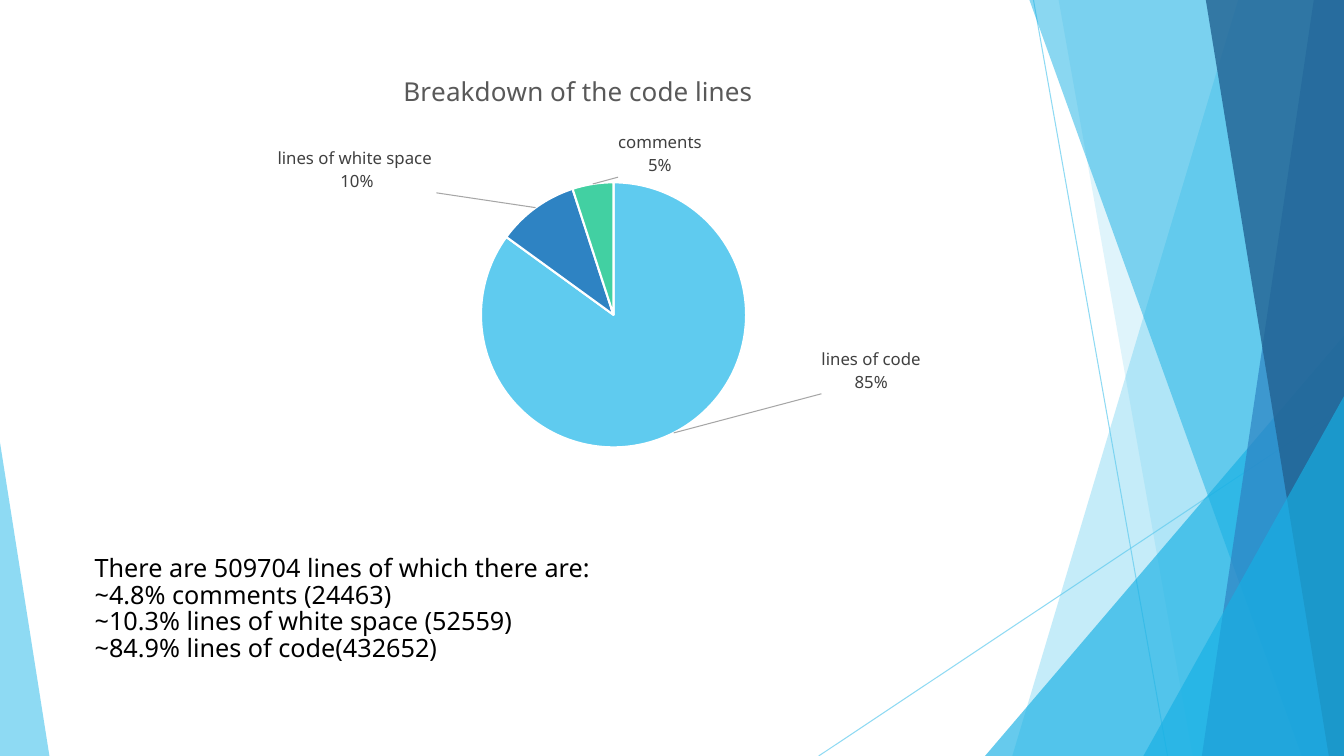
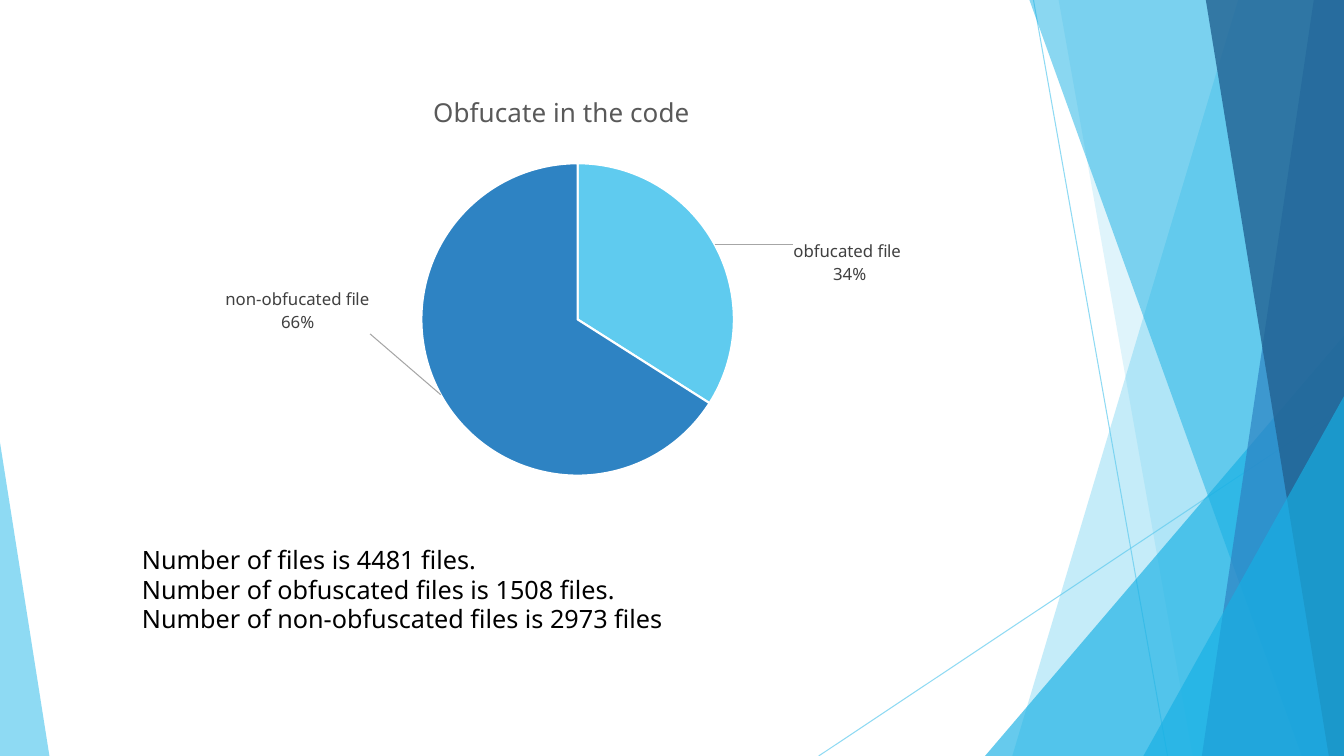
from pptx import Presentation
from pptx.chart.data import CategoryChartData
from pptx.dml.color import RGBColor
from pptx.enum import chart as ch, shapes as sh, text as tx
from pptx.oxml import parse_xml
from pptx.oxml.ns import nsdecls
from pptx.util import Inches, Pt

WIDE, HIGH = 13.33, 7.5
FONT = "Noto Sans"
SKY, BLUE, GREEN = "5FCBEF", "2E83C3", "42D0A2"
CYAN, NAVY = "17B0E4", "226292"
BLACK, WHITE, DARK, GREY = "000000", "FFFFFF", "404040", "595959"


def rgb(code):
    return RGBColor.from_string(code)


def style(font, size, color):
    font.name, font.size, font.bold = FONT, Pt(size), False
    font.color.rgb = rgb(color)


def fade(shape, share):
    """Set the opacity, in percent, of a shape's colour."""
    for tone in shape.element.xpath(".//a:srgbClr"):
        tone.append(parse_xml(
            f'<a:alpha {nsdecls("a")} val="{share * 1000}"/>'))


def paint(shape, color, share):
    shape.shadow.inherit = False
    shape.fill.solid()
    shape.fill.fore_color.rgb = rgb(color)
    shape.line.fill.background()
    fade(shape, share)


# Backdrop parts
def ray(group, start, end):
    line = group.shapes.add_connector(
        sh.MSO_CONNECTOR.STRAIGHT, *map(Inches, start + end))
    line.line.color.rgb = rgb(SKY)
    line.line.width = Pt(0.75)
    line.element.spPr.append(parse_xml(f'<a:effectLst {nsdecls("a")}/>'))
    fade(line, 70)


def band(group, top, foot, color, share):
    """Fill from a slanted left edge to the right side of the slide."""
    pen = group.shapes.build_freeform(Inches(top), 0)
    pen.add_line_segments(
        [(Inches(x), Inches(y))
         for x, y in ((WIDE, 0), (WIDE, HIGH), (foot, HIGH))])
    paint(pen.convert_to_shape(), color, share)


def wedge(group, left, top, width, tip, color, share):
    """Draw a triangle that stands on the foot of the slide."""
    shape = group.shapes.add_shape(
        sh.MSO_SHAPE.ISOSCELES_TRIANGLE,
        *map(Inches, (left, top, width, HIGH - top)))
    shape.adjustments[0] = tip
    paint(shape, color, share)


def backdrop(slide):
    """Draw the facets once and hand them to the slide's layout."""
    layout = slide.slide_layout
    for holder in list(layout.placeholders):
        layout.shapes.element.remove(holder.element)
    group = slide.shapes.add_group_shape()
    ray(group, (10.25, 0), (11.58, HIGH))
    ray(group, (WIDE, 4.03), (8.12, HIGH))
    band(group, 12.28, 10.04, SKY, 36)
    band(group, 10.5, 11.83, SKY, 20)
    wedge(group, 9.77, 3.33, WIDE - 9.77, 1, CYAN, 66)
    band(group, 10.21, 12.91, CYAN, 50)
    band(group, 13.03, 11.92, BLUE, 70)
    band(group, 11.96, 13.18, NAVY, 80)
    wedge(group, 11.34, 3.93, WIDE - 11.34, 1, CYAN, 66)
    wedge(group, 0, 4.39, 0.49, 0, SKY, 70)
    layout.shapes.element.append(group.element)


# Chart parts
def place(chart, box, disc):
    """Fix the pie's disc, given as left, top and diameter on the slide."""
    left, top, wide, high = box
    x, y, size = disc
    spot = dict(x=(x - left) / wide, y=(y - top) / high,
                w=size / wide, h=size / high)
    marks = "".join(f'<c:{k} val="{v:.4f}"/>' for k, v in spot.items())
    area = chart.element.xpath(".//c:plotArea")[0]
    for old in area.xpath("./c:layout"):
        area.remove(old)
    area.insert(0, parse_xml(
        f'<c:layout {nsdecls("c")}><c:manualLayout>'
        '<c:layoutTarget val="inner"/><c:xMode val="edge"/>'
        f'<c:yMode val="edge"/>{marks}</c:manualLayout></c:layout>'))


def label(chart, box, shifts):
    """Show category and percent, each shifted by inches, with leaders."""
    show = ('<c:dLblPos val="outEnd"/><c:showLegendKey val="0"/>'
            '<c:showVal val="0"/><c:showCatName val="1"/>'
            '<c:showSerName val="0"/><c:showPercent val="1"/>'
            '<c:showBubbleSize val="0"/><c:separator>\n</c:separator>')
    each = "".join(
        f'<c:dLbl><c:idx val="{i}"/><c:layout><c:manualLayout>'
        f'<c:x val="{x / box[2]:.4f}"/><c:y val="{y / box[3]:.4f}"/>'
        f'</c:manualLayout></c:layout>{show}</c:dLbl>'
        for i, (x, y) in enumerate(shifts))
    cats = chart.element.xpath(".//c:ser/c:cat")[0]
    cats.addprevious(parse_xml(
        f'<c:dLbls {nsdecls("c", "a")}>{each}{show}'
        '<c:showLeaderLines val="1"/><c:leaderLines><c:spPr>'
        '<a:ln w="9525"><a:solidFill><a:srgbClr val="A6A6A6"/></a:solidFill>'
        '</a:ln></c:spPr></c:leaderLines></c:dLbls>'))


def pie(slide, box, title, parts, disc):
    """Add a pie; parts hold name, value, colour and label shift."""
    names, vals, tones, shifts = zip(*parts)
    data = CategoryChartData()
    data.categories = names
    data.add_series(title, vals)
    chart = slide.shapes.add_chart(
        ch.XL_CHART_TYPE.PIE, *map(Inches, box), data).chart
    style(chart.font, 12, DARK)
    chart.has_legend = False
    chart.has_title = True
    run = chart.chart_title.text_frame.paragraphs[0].add_run()
    run.text = title
    style(run.font, 18.6, GREY)
    chart.chart_title.include_in_layout = False
    plot = chart.plots[0]
    plot.vary_by_categories = True
    for i, tone in enumerate(tones):
        look = plot.series[0].points[i].format
        look.fill.solid()
        look.fill.fore_color.rgb = rgb(tone)
        look.line.color.rgb = rgb(WHITE)
        look.line.width = Pt(1.5)
    place(chart, box, disc)
    label(chart, box, shifts)


# Notes under the chart
def notes(slide, box, lines, pitch):
    frame = slide.shapes.add_textbox(*map(Inches, box)).text_frame
    frame.word_wrap = True
    frame.vertical_anchor = tx.MSO_ANCHOR.TOP
    for i, line in enumerate(lines):
        para = frame.add_paragraph() if i else frame.paragraphs[0]
        para.line_spacing = pitch
        run = para.add_run()
        run.text = line
        style(run.font, 18, BLACK)


deck = Presentation()
deck.slide_width, deck.slide_height = Inches(WIDE), Inches(HIGH)
blank = deck.slide_layouts[6]

# Slide 1: kinds of lines
lines = deck.slides.add_slide(blank)
backdrop(lines)
pie(lines, (0.74, 0.51, 9.99, 4.5), "Breakdown of the code lines",
    [("lines of code", 85, SKY, (1.44, -0.9)),
     ("lines of white space ", 10, BLUE, (-0.95, -0.1)),
     ("comments", 5, GREEN, (1.09, -0.01))],
    (4.77, 1.81, 2.63))
notes(lines, (0.84, 5.47, 9.88, 1.67),
      ["There are 509704 lines of which there are:",
       "~4.8% comments (24463) ",
       "~10.3% lines of white space (52559)",
       "~84.9% lines of code(432652)"], 0.88)

# Slide 2: kinds of files
files = deck.slides.add_slide(blank)
pie(files, (0.87, 0.72, 9.4, 4.24), "Obfucate in the code",
    [("obfucated file ", 34, SKY, (0.73, 0.44)),
     ("non-obfucated file", 66, BLUE, (-0.65, -1.09))],
    (4.18, 1.62, 3.1))
notes(files, (1.31, 5.37, 8.96, 1.08),
      ["Number of files is 4481 files.",
       "Number of obfuscated files is 1508 files.",
       "Number of non-obfuscated files is 2973 files"], 0.97)

deck.save("out.pptx")
